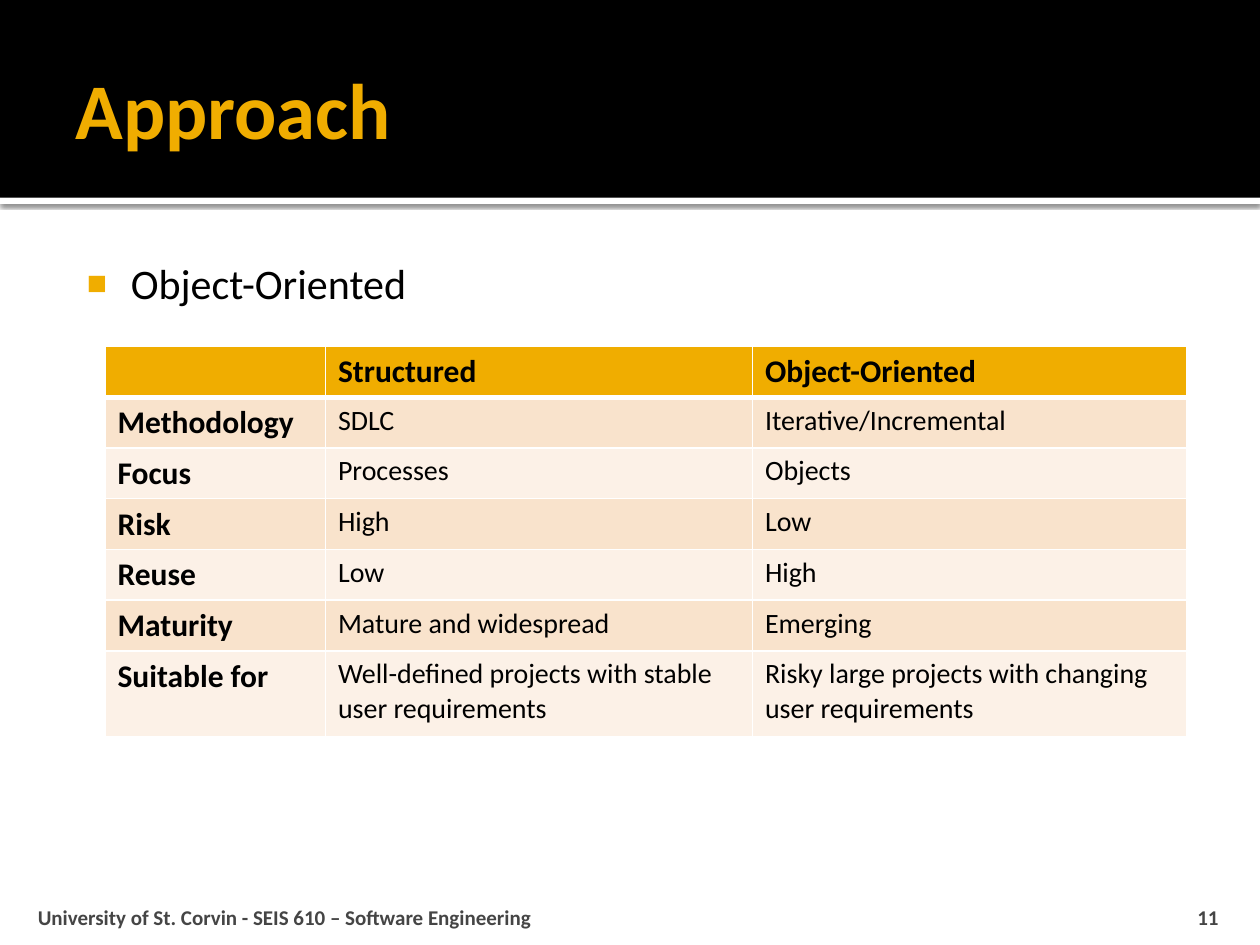
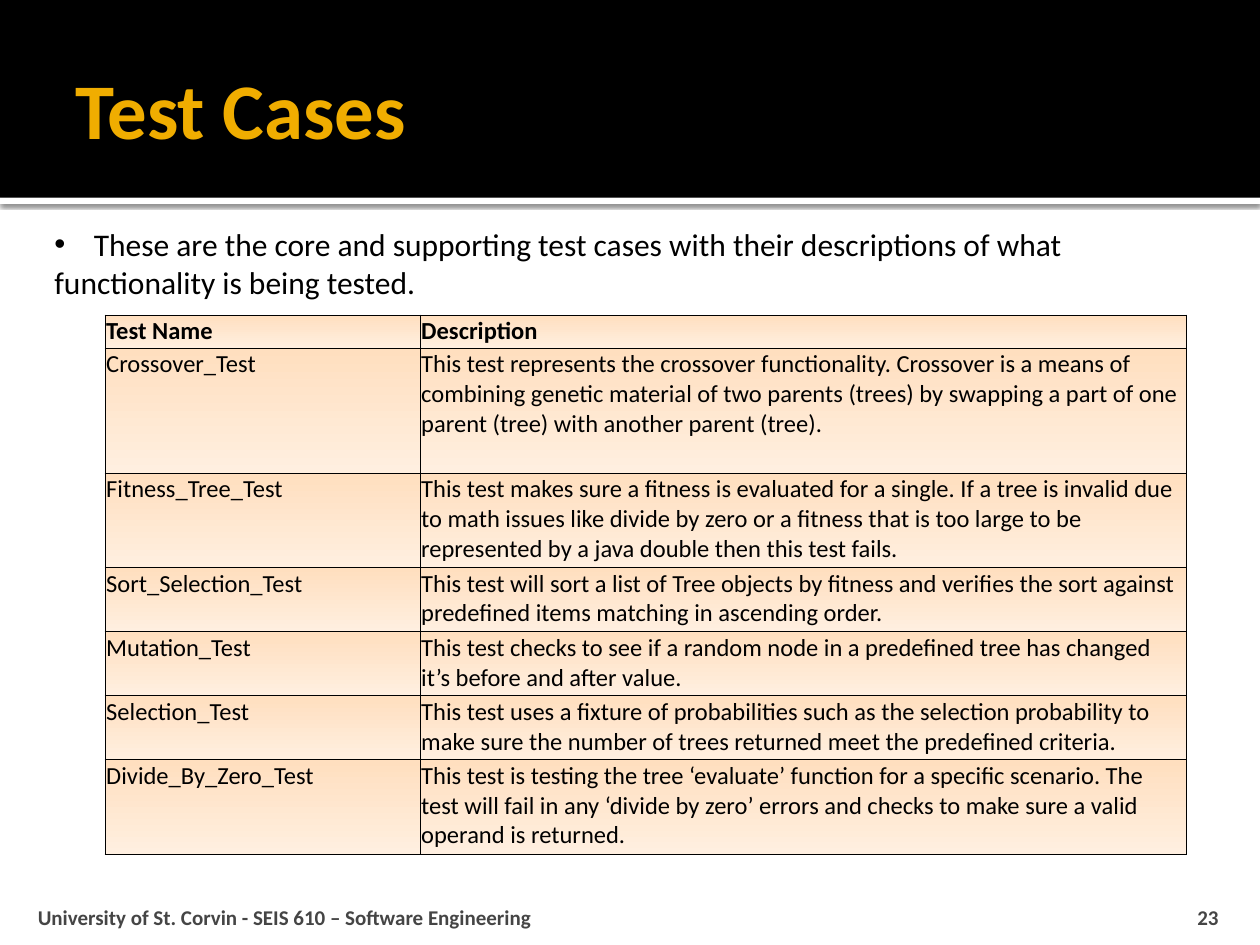
import pptx
import pptx.dml.color
import pptx.enum.shapes
import pptx.enum.text
import pptx.oxml
import pptx.oxml.ns
import pptx.util

Pt = pptx.util.Pt
ALIGN = pptx.enum.text.PP_ALIGN
ANCHOR = pptx.enum.text.MSO_ANCHOR
NAMESPACE = pptx.oxml.ns.nsdecls("a")

COLORS = {
    "black": "000000",
    "white": "FFFFFF",
    "gold": "F0AD00",
    "gray": "454545",
    "band_dark": "F9E3CC",
    "band_light": "FCF1E7",
    "peach_top": "FFDFBF",
    "peach_bottom": "FFEFE0",
}
FOOTER = "University of St. Corvin - SEIS 610 – Software Engineering"

APPROACH_ROWS = [
    ("", "Structured", "Object-Oriented"),
    ("Methodology", "SDLC", "Iterative/Incremental"),
    ("Focus", "Processes", "Objects"),
    ("Risk", "High", "Low"),
    ("Reuse", "Low", "High"),
    ("Maturity", "Mature and widespread", "Emerging"),
    ("Suitable for", "Well-defined projects with stable user requirements",
     "Risky large projects with changing user requirements"),
]
TEST_ROWS = [
    ("Test Name", "Description"),
    ("Crossover_Test",
     "This test represents the crossover functionality. Crossover is a means of combining genetic "
     "material of two parents (trees) by swapping a part of one parent (tree) with another parent (tree)."),
    ("Fitness_Tree_Test",
     "This test makes sure a fitness is evaluated for a single. If a tree is invalid due to math issues "
     "like divide by zero or a fitness that is too large to be represented by a java double then this test fails."),
    ("Sort_Selection_Test",
     "This test will sort a list of Tree objects by fitness and verifies the sort against predefined "
     "items matching in ascending order."),
    ("Mutation_Test",
     "This test checks to see if a random node in a predefined tree has changed it’s before and after value."),
    ("Selection_Test",
     "This test uses a fixture of probabilities such as the selection probability to make sure the number "
     "of trees returned meet the predefined criteria."),
    ("Divide_By_Zero_Test",
     "This test is testing the tree ‘evaluate’ function for a specific scenario. The test will fail in any "
     "‘divide by zero’ errors and checks to make sure a valid operand is returned."),
]


def rgb(name):
    return pptx.dml.color.RGBColor.from_string(COLORS[name])


class SlideBuilder:
    """Hold the deck style and the current slide, and add elements to it."""

    def __init__(self, deck):
        self.deck = deck
        self.page = None

    def start_page(self, title, number):
        self.page = self.deck.slides.add_slide(self.deck.slide_layouts[6])
        self.shadow(self.band(113, 3.6, "white"))
        self.band(0, 113, "black")
        self.text([title], (36, 12.25, 648, 98.65), 45, "gold", True, ANCHOR.MIDDLE, (7.2, 3.6, 3.6, 3.6))
        self.text([str(number)], (645.85, 509.75, 57.6, 21.6), 12, "gray", True, ANCHOR.BOTTOM,
                  (7.2, 3.6, 7.2, 0), ALIGN.RIGHT)
        self.text([FOOTER], (18, 509.75, 624, 21.6), 12, "gray", True, ANCHOR.BOTTOM, (3.6, 3.6, 3.6, 0))

    def band(self, top, height, color):
        box = self.page.shapes.add_shape(pptx.enum.shapes.MSO_SHAPE.RECTANGLE,
                                         0, Pt(top), self.deck.slide_width, Pt(height))
        box.shadow.inherit = False
        box.fill.solid()
        box.fill.fore_color.rgb = rgb(color)
        box.line.fill.background()
        return box

    def shadow(self, box):
        effects = box._element.spPr.find(pptx.oxml.ns.qn("a:effectLst"))
        effects.append(pptx.oxml.parse_xml(
            f'<a:outerShdw {NAMESPACE} blurRad="{Pt(2.5)}" dist="{Pt(0.8)}" dir="5400000" algn="tl" '
            f'rotWithShape="0"><a:srgbClr val="{COLORS["black"]}"><a:alpha val="60000"/></a:srgbClr>'
            '</a:outerShdw>'))

    def style(self, para, size, color="black", bold=False):
        para.font.name = "Calibri"
        para.font.size = Pt(size)
        para.font.bold = bold
        para.font.color.rgb = rgb(color)

    def text(self, lines, place, size, color="black", bold=False, anchor=ANCHOR.TOP,
             insets=(7.2, 3.6, 7.2, 3.6), align=ALIGN.LEFT):
        frame = self.page.shapes.add_textbox(*map(Pt, place)).text_frame
        frame.word_wrap = True
        frame.vertical_anchor = anchor
        frame.margin_left, frame.margin_top, frame.margin_right, frame.margin_bottom = map(Pt, insets)
        frame.text = "\n".join(lines)
        for para in frame.paragraphs:
            para.alignment = align
            self.style(para, size, color, bold)
        return frame

    def bullet(self, para, symbol, color, percent, left, hanging):
        properties = para._p.get_or_add_pPr()
        properties.set("marL", str(Pt(left)))
        properties.set("indent", str(-Pt(hanging)))
        for item in (f'<a:buClr {NAMESPACE}><a:srgbClr val="{COLORS[color]}"/></a:buClr>',
                     f'<a:buSzPct {NAMESPACE} val="{percent * 1000}"/>',
                     f'<a:buFont {NAMESPACE} typeface="Arial"/>',
                     f'<a:buChar {NAMESPACE} char="{symbol}"/>'):
            properties.append(pptx.oxml.parse_xml(item))

    def table(self, rows, top, widths, heights, paint):
        grid = self.page.shapes.add_table(len(rows), len(widths), Pt(60), Pt(top),
                                          Pt(sum(widths)), Pt(sum(heights))).table
        grid.first_row = grid.horz_banding = False
        for column, width in zip(grid.columns, widths):
            column.width = Pt(width)
        for row, height in zip(grid.rows, heights):
            row.height = Pt(height)
        for r, texts in enumerate(rows):
            for c, words in enumerate(texts):
                cell = grid.cell(r, c)
                cell.text = words
                paint(cell, r, c)

    def borders(self, cell, color, left, right, top, bottom):
        properties = cell._tc.get_or_add_tcPr()
        for index, (side, width) in enumerate(zip("LRTB", (left, right, top, bottom))):
            properties.insert(index, pptx.oxml.parse_xml(
                f'<a:ln{side} {NAMESPACE} w="{Pt(width)}"><a:solidFill>'
                f'<a:srgbClr val="{COLORS[color]}"/></a:solidFill></a:ln{side}>'))

    def paint_banded(self, cell, row, column):
        heading = row == 0 or column == 0
        self.style(cell.text_frame.paragraphs[0], 18 if heading else 16, bold=heading)
        cell.fill.solid()
        cell.fill.fore_color.rgb = rgb("gold" if row == 0 else ("band_light", "band_dark")[row % 2])
        self.borders(cell, "white", 1, 1, 3 if row == 1 else 1, 3 if row == 0 else 1)

    def paint_gradient(self, cell, row, column):
        self.style(cell.text_frame.paragraphs[0], 14, bold=row == 0)
        cell.margin_left = cell.margin_right = cell.margin_top = cell.margin_bottom = Pt(0.7)
        cell.fill.gradient()
        cell.fill.gradient_angle = 270
        for stop, color in zip(cell.fill.gradient_stops, ("peach_top", "peach_bottom")):
            stop.color.rgb = rgb(color)
        self.borders(cell, "black", 0.6, 0.6, 0.6, 0.6)


def main():
    deck = pptx.Presentation()
    deck.slide_width, deck.slide_height = Pt(720), Pt(540)
    builder = SlideBuilder(deck)

    builder.start_page("Approach", 11)
    body = builder.text(["Object-Oriented"], (36, 140, 648, 364), 24, insets=(4.3, 7.2, 7.2, 3.6))
    builder.bullet(body.paragraphs[0], "■", "gold", 80, 34.5, 25.2)
    builder.table(APPROACH_ROWS, 198, (126, 244, 248), [29] * 6 + [49], builder.paint_banded)

    builder.start_page("Test Cases", 23)
    intro = builder.text(["These are the core and supporting test cases with their descriptions of what",
                          "functionality is being tested."], (24, 125, 666, 52), 18)
    builder.bullet(intro.paragraphs[0], "•", "black", 100, 22.5, 22.5)
    builder.table(TEST_ROWS, 180, (180, 438), (19, 71.4, 54, 36.6, 36.6, 36.6, 54), builder.paint_gradient)

    deck.save("out.pptx")


if __name__ == "__main__":
    main()
